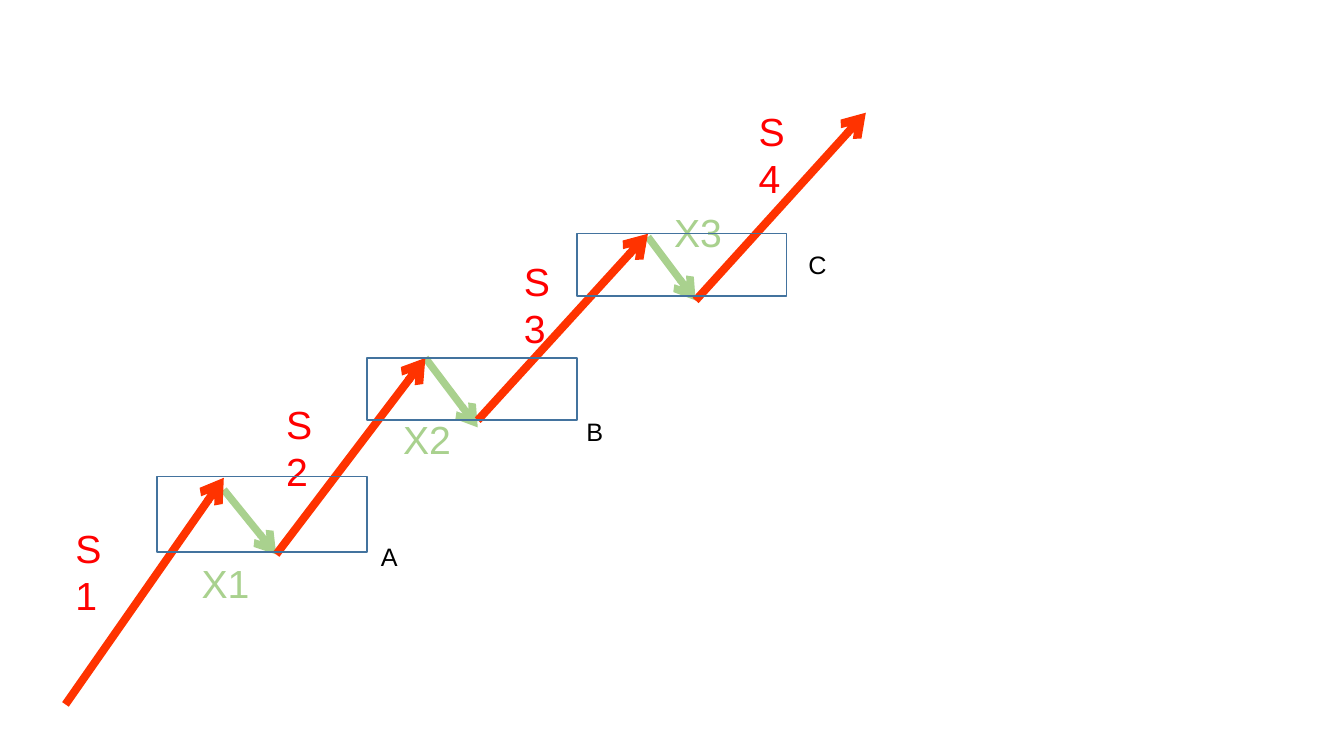
from dataclasses import dataclass

from lxml import etree
from pptx import Presentation
from pptx.dml.color import RGBColor
from pptx.enum.shapes import MSO_CONNECTOR, MSO_SHAPE
from pptx.enum.text import MSO_AUTO_SIZE
from pptx.oxml.ns import qn
from pptx.util import Cm, Pt

STRAIGHT = MSO_CONNECTOR.STRAIGHT
RECTANGLE = MSO_SHAPE.RECTANGLE
FIT_TEXT = MSO_AUTO_SIZE.SHAPE_TO_FIT_TEXT


@dataclass(frozen=True)
class Theme:
    font: str = "Arial"
    rise: RGBColor = RGBColor(0xFF, 0x33, 0x00)
    rise_text: RGBColor = RGBColor(0xFF, 0x00, 0x00)
    fall: RGBColor = RGBColor(0xA9, 0xD1, 0x8E)
    zone_line: RGBColor = RGBColor(0x43, 0x73, 0x9E)
    zone_text: RGBColor = RGBColor(0x00, 0x00, 0x00)
    swing_size: Pt = Pt(28)
    zone_size: Pt = Pt(18)
    rise_width: Pt = Pt(5.75)
    fall_width: Pt = Pt(5.25)
    zone_width: Pt = Pt(1)


THEME = Theme()

# Lengths in centimetres: start, end and label corner of each swing
RISES = [
    ((1.65, 17.75), (5.64, 12.04), (1.65, 13.08)),
    ((6.96, 13.97), (10.72, 9.02), (6.96, 9.96)),
    ((12.04, 10.59), (16.33, 5.89), (12.95, 6.35)),
    ((17.53, 7.57), (21.82, 2.84), (18.87, 2.59)),
]
FALLS = [
    ((5.64, 12.34), (6.96, 13.97), (4.83, 13.97)),
    ((10.72, 9.02), (12.04, 10.77), (9.91, 10.34)),
    ((16.33, 5.97), (17.53, 7.57), (16.74, 5.13)),
]
# Name, top, height and label corner of each zone
ZONES = [
    ("A", 12.01, 1.9, (9.35, 13.51)),
    ("B", 9.02, 1.57, (14.53, 10.36)),
    ("C", 5.89, 1.57, (20.12, 6.17)),
]
ZONE_LEFT, ZONE_STEP = 3.96, 5.29


def add_arrow(page, start, end, color, width):
    arrow = page.shapes.add_connector(STRAIGHT, *map(Cm, start + end))
    arrow.line.color.rgb = color
    arrow.line.width = width
    properties = arrow.line._get_or_add_ln()
    etree.SubElement(properties, qn("a:tailEnd"), type="arrow")
    etree.SubElement(arrow._element.spPr, qn("a:effectLst"))


def add_label(page, text, corner, extent, color, size, wrap=True):
    box = page.shapes.add_textbox(*map(Cm, corner + extent))
    frame = box.text_frame
    frame.word_wrap = wrap
    frame.auto_size = FIT_TEXT
    span = frame.paragraphs[0].add_run()
    span.text = text
    span.font.name = THEME.font
    span.font.size = size
    span.font.color.rgb = color


def add_zone(page, left, top, height):
    zone = page.shapes.add_shape(
        RECTANGLE, Cm(left), Cm(top), Cm(ZONE_STEP), Cm(height))
    zone.shadow.inherit = False
    zone.fill.background()
    zone.line.color.rgb = THEME.zone_line
    zone.line.width = THEME.zone_width


def add_swings(page, swings, prefix, label_width, color, text_color, width):
    """Draw numbered arrows that share one direction and style."""
    for number, (start, end, corner) in enumerate(swings, 1):
        add_arrow(page, start, end, color, width)
        add_label(page, f"{prefix}{number}", corner, (label_width, 1.45),
                  text_color, THEME.swing_size)


def main():
    deck = Presentation()
    deck.slide_width, deck.slide_height = Cm(33.87), Cm(19.05)
    page = deck.slides.add_slide(deck.slide_layouts[6])
    add_swings(page, FALLS, "X", 2.13,
               THEME.fall, THEME.fall, THEME.fall_width)
    add_swings(page, RISES, "S", 1.6,
               THEME.rise, THEME.rise_text, THEME.rise_width)
    for index, (name, top, height, corner) in enumerate(ZONES):
        add_zone(page, ZONE_LEFT + index * ZONE_STEP, top, height)
        add_label(page, name, corner, (0.95, 1.02),
                  THEME.zone_text, THEME.zone_size, wrap=False)
    deck.save("out.pptx")


if __name__ == "__main__":
    main()
